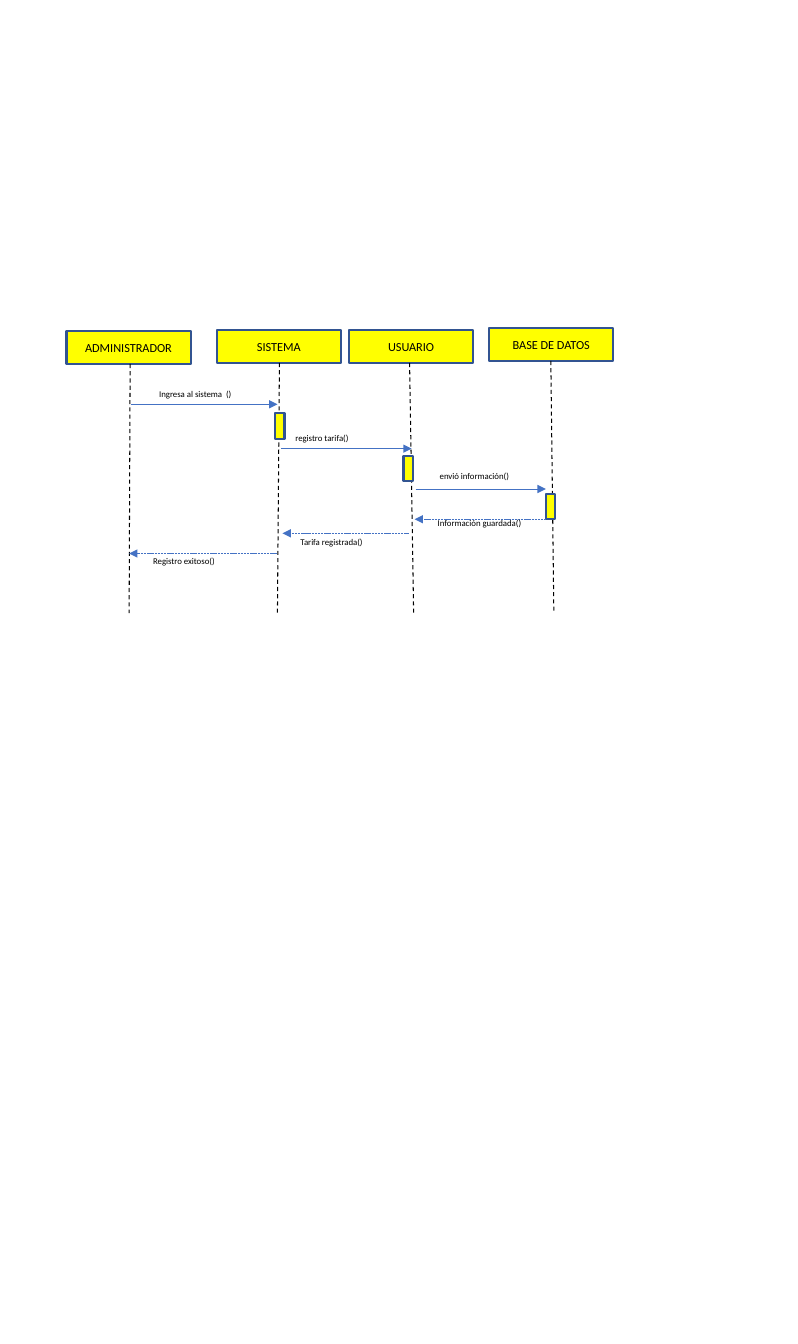
"""Builds a sequence diagram of how a fare is registered."""
import lxml.etree
import pptx
import pptx.dml.color
import pptx.enum.dml
import pptx.enum.shapes
import pptx.enum.text
import pptx.oxml.ns
import pptx.util

HUES = {"box": "FFFF00", "edge": "325491", "arrow": "4472C4", "ink": "000000"}
DASH = pptx.enum.dml.MSO_LINE
CELL = 0.1


def hue(name):
    return pptx.dml.color.RGBColor.from_string(HUES[name])


def grid(*cells):
    return [pptx.util.Inches(cell * CELL) for cell in cells]


def apply(target, form):
    for key, value in form.items():
        setattr(target, key, value)


class Chart:
    """Holds the style and the current slide."""

    font = "Calibri"
    head = {"size": pptx.util.Pt(8.8)}
    note = {"size": pptx.util.Pt(6.3)}

    def __init__(self, slide):
        self.shapes = slide.shapes

    def letter(self, frame, text, form, align):
        para = frame.paragraphs[0]
        para.alignment = align
        run = para.add_run()
        run.text = text
        apply(run.font, {"name": self.font, **form})
        run.font.color.rgb = hue("ink")

    def box(self, left, top, width, height, text=""):
        kind = pptx.enum.shapes.MSO_SHAPE.RECTANGLE
        shape = self.shapes.add_shape(kind, *grid(left, top, width, height))
        shape.shadow.inherit = False
        shape.fill.solid()
        shape.fill.fore_color.rgb = hue("box")
        shape.line.color.rgb = hue("edge")
        shape.line.width = pptx.util.Pt(1.5)
        if text:
            shape.text_frame.vertical_anchor = pptx.enum.text.MSO_ANCHOR.MIDDLE
            self.letter(shape.text_frame, text, self.head, pptx.enum.text.PP_ALIGN.CENTER)

    def label(self, left, top, width, text):
        frame = self.shapes.add_textbox(*grid(left, top, width, 2.1)).text_frame
        apply(frame, {"word_wrap": True,
                      "auto_size": pptx.enum.text.MSO_AUTO_SIZE.SHAPE_TO_FIT_TEXT})
        self.letter(frame, text, self.note, pptx.enum.text.PP_ALIGN.LEFT)

    def line(self, start, end, color, width, dash=None, arrow=False):
        kind = pptx.enum.shapes.MSO_CONNECTOR.STRAIGHT
        link = self.shapes.add_connector(kind, *grid(*start, *end))
        link.line.color.rgb = hue(color)
        apply(link.line, {"width": pptx.util.Pt(width), "dash_style": dash})
        tag = pptx.oxml.ns.qn
        props = link._element.spPr
        if arrow:
            lxml.etree.SubElement(props.find(tag("a:ln")), tag("a:tailEnd"), type="triangle")
        lxml.etree.SubElement(props, tag("a:effectLst"))

    def call(self, start, end, dash=None):
        self.line(start, end, "arrow", 0.5, dash, True)


deck = pptx.Presentation()
apply(deck, {"slide_width": pptx.util.Inches(7.91),
             "slide_height": pptx.util.Inches(13.33)})
chart = Chart(deck.slides.add_slide(deck.slide_layouts[6]))

ROLES = [
    ("ADMINISTRADOR", 6.6, 32.8, 12.9, 12.8),
    ("SISTEMA", 21.5, 32.7, 27.7, 27.5),
    ("USUARIO", 34.6, 32.7, 40.6, 41),
    ("BASE DE DATOS", 48.5, 32.5, 54.6, 54.9),
]
for name, left, top, start, end in ROLES:
    chart.box(left, top, 12.3, 3.3, name)
    chart.line((start, top + 3.3), (end, 60.8), "ink", 0.75, DASH.DASH)

for left, top in [(27.3, 41), (40, 45.2), (54.1, 49)]:
    chart.box(left, top, 0.9, 2.5)

CALLS = [(13, 27.5, 40.1), (27.9, 40.8, 44.5), (41.2, 54.1, 48.5)]
for start, end, row in CALLS:
    chart.call((start, row), (end, row))

REPLIES = [(54.1, 41.1, 51.5), (40.5, 28, 52.9), (27.5, 12.8, 54.9)]
for start, end, row in REPLIES:
    chart.call((start, row), (end, row), DASH.SQUARE_DOT)

LABELS = [
    (14.6, 38.1, 12.8, " Ingresa al sistema  ()"),
    (28.1, 42.4, 16.5, " registro tarifa()"),
    (42.4, 46.2, 18.2, " envió información()"),
    (42.4, 50.9, 16.5, "Información guardada()"),
    (28.8, 52.7, 17.5, "Tarifa registrada()"),
    (14.2, 54.6, 15.7, "Registro exitoso()"),
]
for label in LABELS:
    chart.label(*label)

deck.save("out.pptx")
